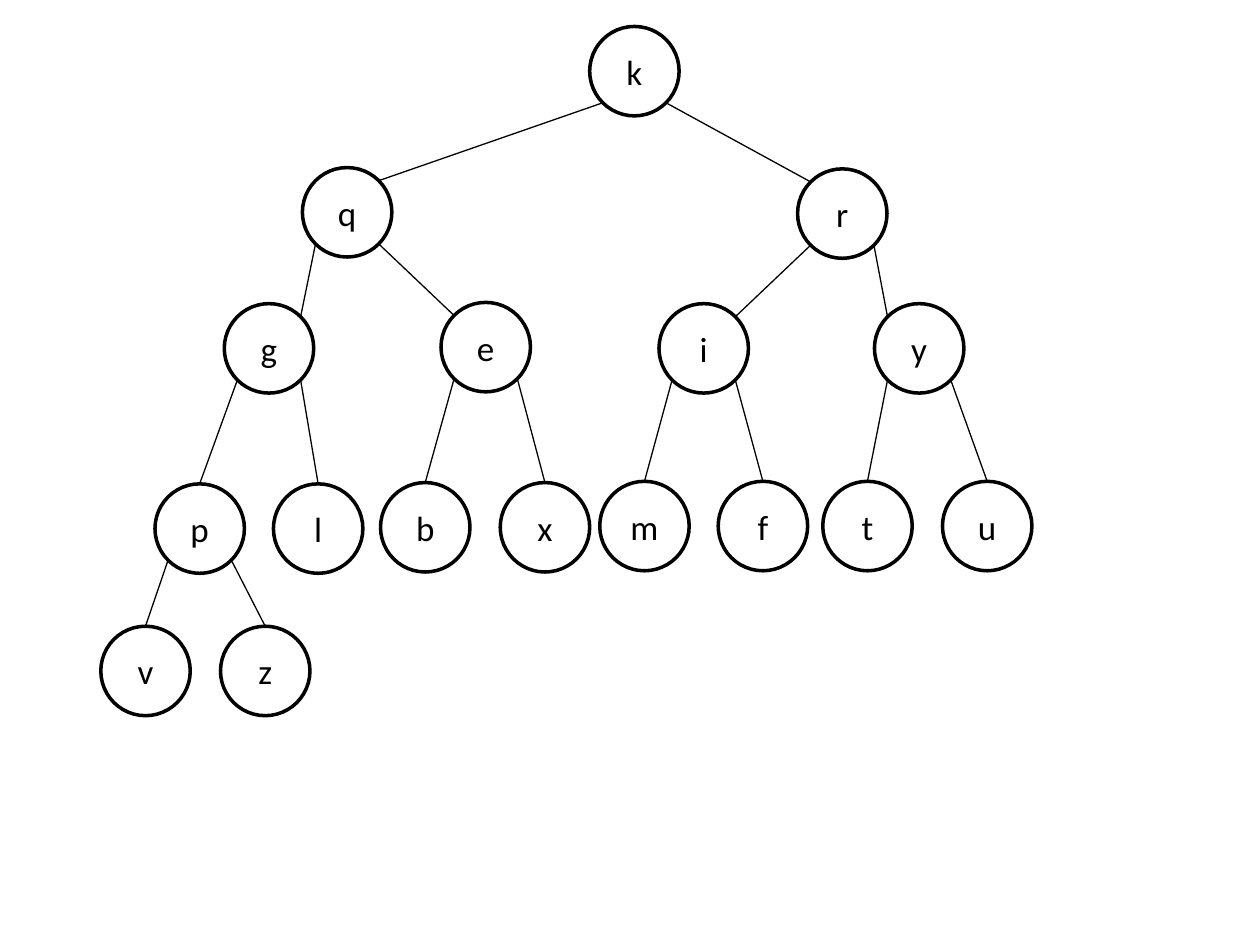
from lxml import etree
from pptx import Presentation
from pptx.dml.color import RGBColor
from pptx.enum.shapes import MSO_CONNECTOR, MSO_SHAPE
from pptx.enum.text import MSO_ANCHOR, PP_ALIGN
from pptx.oxml.ns import qn
from pptx.util import Inches, Pt

OVAL = MSO_SHAPE.OVAL
STRAIGHT = MSO_CONNECTOR.STRAIGHT
MIDDLE = MSO_ANCHOR.MIDDLE
CENTER = PP_ALIGN.CENTER

COLORS = {"paper": "FFFFFF", "ink": "000000"}
FONT = "Calibri"
DIAMETER = 0.71
RADIUS = DIAMETER / 2
DIAGONAL = RADIUS * 0.5 ** 0.5
FIRST_TOP_JOINED = 7

HEAP = [
    ("k", 4.68, 0.21),
    ("q", 2.4, 1.33), ("r", 6.33, 1.34),
    ("g", 1.78, 2.41), ("e", 3.5, 2.4), ("i", 5.23, 2.41), ("y", 6.94, 2.41),
    ("p", 1.23, 3.84), ("l", 2.17, 3.84), ("b", 3.02, 3.83), ("x", 3.97, 3.83),
    ("m", 4.76, 3.82), ("f", 5.7, 3.82), ("t", 6.53, 3.82), ("u", 7.48, 3.82),
    ("v", 0.8, 4.97), ("z", 1.75, 4.97),
]


def color(name):
    """Return the named palette colour."""
    return RGBColor.from_string(COLORS[name])


def add_node(s, letter, left, top):
    """Draw one tree node as a circle with its letter."""
    sp = s.shapes.add_shape(OVAL, Inches(left), Inches(top), Inches(DIAMETER), Inches(DIAMETER))
    sp.shadow.inherit = False
    sp.fill.solid()
    sp.fill.fore_color.rgb = color("paper")
    sp.line.color.rgb = color("ink")
    sp.line.width = Pt(2)
    tf = sp.text_frame
    tf.text = letter
    tf.vertical_anchor = MIDDLE
    p = tf.paragraphs[0]
    p.alignment = CENTER
    font = p.runs[0].font
    font.name, font.size = FONT, Pt(20)
    font.color.rgb = color("ink")


def add_edge(s, index):
    """Join the node at a heap index to its parent."""
    _, left, top = HEAP[index]
    _, parent_left, parent_top = HEAP[(index - 1) // 2]
    side = -1 if index % 2 else 1
    x1 = parent_left + RADIUS + side * DIAGONAL
    y1 = parent_top + RADIUS + DIAGONAL
    x2, y2 = left + RADIUS, top
    if index < FIRST_TOP_JOINED:
        x2 -= side * DIAGONAL
        y2 += RADIUS - DIAGONAL
    line = s.shapes.add_connector(STRAIGHT, Inches(x1), Inches(y1), Inches(x2), Inches(y2))
    line.line.color.rgb = color("ink")
    line.line.width = Pt(0.75)
    etree.SubElement(line._element.spPr, qn("a:effectLst"))


def main():
    """Build the slide with the binary heap."""
    prs = Presentation()
    prs.slide_width, prs.slide_height = Inches(10), Inches(7.5)
    s = prs.slides.add_slide(prs.slide_layouts[6])
    for node in HEAP:
        add_node(s, *node)
    for index in range(1, len(HEAP)):
        add_edge(s, index)
    prs.save("out.pptx")


if __name__ == "__main__":
    main()
